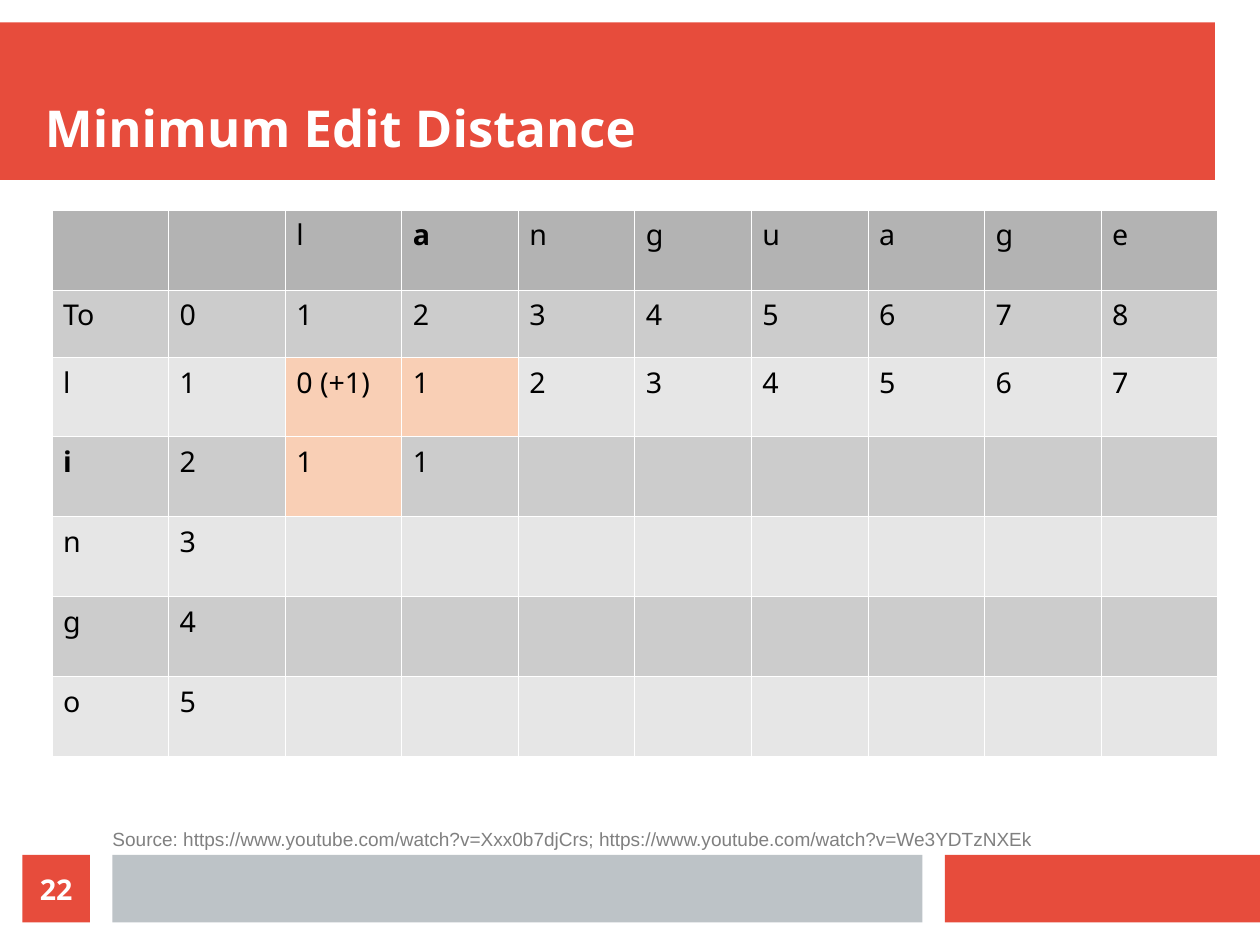
from pptx import Presentation
from pptx.dml.color import RGBColor
from pptx.enum.shapes import MSO_SHAPE
from pptx.enum.text import MSO_ANCHOR, PP_ALIGN
from pptx.oxml import parse_xml
from pptx.oxml.ns import nsdecls
from pptx.util import Cm, Pt

RECTANGLE = MSO_SHAPE.RECTANGLE
TOP, MIDDLE, BOTTOM = MSO_ANCHOR.TOP, MSO_ANCHOR.MIDDLE, MSO_ANCHOR.BOTTOM
LEFT, CENTER = PP_ALIGN.LEFT, PP_ALIGN.CENTER

COLORS = {
    "red": "E74C3C",
    "silver": "BDC3C7",
    "white": "FFFFFF",
    "black": "000000",
    "source": "808080",
    "header": "B3B3B3",
    "dark row": "CCCCCC",
    "light row": "E6E6E6",
    "neighbour": "F9CFB5",
}

TARGET = "language"
DISTANCES = [
    ["", "", *TARGET],
    ["To", *range(len(TARGET) + 1)],
    ["l", 1, "0 (+1)", *range(1, len(TARGET))],
    ["i", 2, 1, 1],
    ["n", 3],
    ["g", 4],
    ["o", 5],
]
ROW_HEIGHTS = [1.78, 1.5, 1.75, 1.78, 1.78, 1.78, 1.78]
COMPARED_LETTERS = {(0, 3), (3, 0)}
NEIGHBOURS = {(2, 2), (2, 3), (3, 2)}


def rgb(color):
    return RGBColor.from_string(COLORS[color])


class SlideBuilder:
    def __init__(self, slide, font="Noto Sans"):
        self.slide = slide
        self.font = font

    def style(self, paragraph, size, color, bold=False, font=None):
        paragraph.font.name = font or self.font
        paragraph.font.size = Pt(size)
        paragraph.font.bold = bold
        paragraph.font.color.rgb = rgb(color)

    def label(self, shape, text, size, color, anchor=TOP, align=LEFT,
              bold=False, font=None, indent=0):
        frame = shape.text_frame
        frame.word_wrap = True
        frame.vertical_anchor = anchor
        frame.margin_left = frame.margin_right = 0
        frame.margin_top = frame.margin_bottom = 0
        paragraph = frame.paragraphs[0]
        paragraph.text = text
        paragraph.alignment = align
        if indent:
            paragraph._p.get_or_add_pPr().set("marL", str(Cm(indent)))
        self.style(paragraph, size, color, bold, font)

    def block(self, left, top, width, height, color):
        shape = self.slide.shapes.add_shape(
            RECTANGLE, Cm(left), Cm(top), Cm(width), Cm(height))
        shape.shadow.inherit = False
        shape.fill.solid()
        shape.fill.fore_color.rgb = rgb(color)
        shape.line.fill.background()
        return shape

    def text(self, left, top, width, height, text, size, color, **options):
        box = self.slide.shapes.add_textbox(
            Cm(left), Cm(top), Cm(width), Cm(height))
        self.label(box, text, size, color, **options)

    def border(self, cell, color, width):
        properties = cell._tc.get_or_add_tcPr()
        for side in ("lnL", "lnR", "lnT", "lnB"):
            properties.append(parse_xml(
                f'<a:{side} {nsdecls("a")} w="{Pt(width)}"><a:solidFill>'
                f'<a:srgbClr val="{COLORS[color]}"/></a:solidFill></a:{side}>'))

    def table(self, left, top, column_width, row_heights, rows, fill_of, bold_cells):
        columns = max(len(row) for row in rows)
        table = self.slide.shapes.add_table(
            len(rows), columns, Cm(left), Cm(top),
            Cm(column_width * columns), Cm(sum(row_heights))).table
        table.first_row = table.horz_banding = False
        for column in table.columns:
            column.width = Cm(column_width)
        for r, height in enumerate(row_heights):
            table.rows[r].height = Cm(height)
            for c in range(columns):
                cell = table.cell(r, c)
                self.border(cell, "white", 0.06)
                cell.fill.solid()
                cell.fill.fore_color.rgb = rgb(fill_of(r, c))
                paragraph = cell.text_frame.paragraphs[0]
                if c < len(rows[r]):
                    paragraph.text = str(rows[r][c])
                self.style(paragraph, 18, "black", (r, c) in bold_cells)


def distance_fill(row, column):
    if (row, column) in NEIGHBOURS:
        return "neighbour"
    if row == 0:
        return "header"
    return "dark row" if row % 2 else "light row"


def main():
    prs = Presentation()
    prs.slide_width, prs.slide_height = Cm(28), Cm(21)
    builder = SlideBuilder(prs.slides.add_slide(prs.slide_layouts[6]))

    # Title band and footer blocks
    builder.block(0, 0.5, 27, 3.5, "red")
    builder.block(21, 19, 7, 1.5, "red")
    builder.block(2.5, 19, 18, 1.5, "silver")

    # Source line
    builder.text(
        1.9, 18.4, 25.5, 0.7,
        "Source: https://www.youtube.com/watch?v=Xxx0b7djCrs; "
        "https://www.youtube.com/watch?v=We3YDTzNXEk",
        12, "source", font="Arial", indent=0.6)

    # Edit distance matrix
    builder.table(1.15, 4.66, 2.59, ROW_HEIGHTS, DISTANCES,
                  distance_fill, COMPARED_LETTERS)

    # Title and slide number
    builder.text(1, 1, 26, 2.5, "Minimum Edit Distance", 32, "white",
                 anchor=BOTTOM, bold=True)
    page = builder.block(0.5, 19, 1.5, 1.5, "red")
    builder.label(page, "22", 18, "white", anchor=MIDDLE, align=CENTER, bold=True)

    prs.save("out.pptx")


if __name__ == "__main__":
    main()
